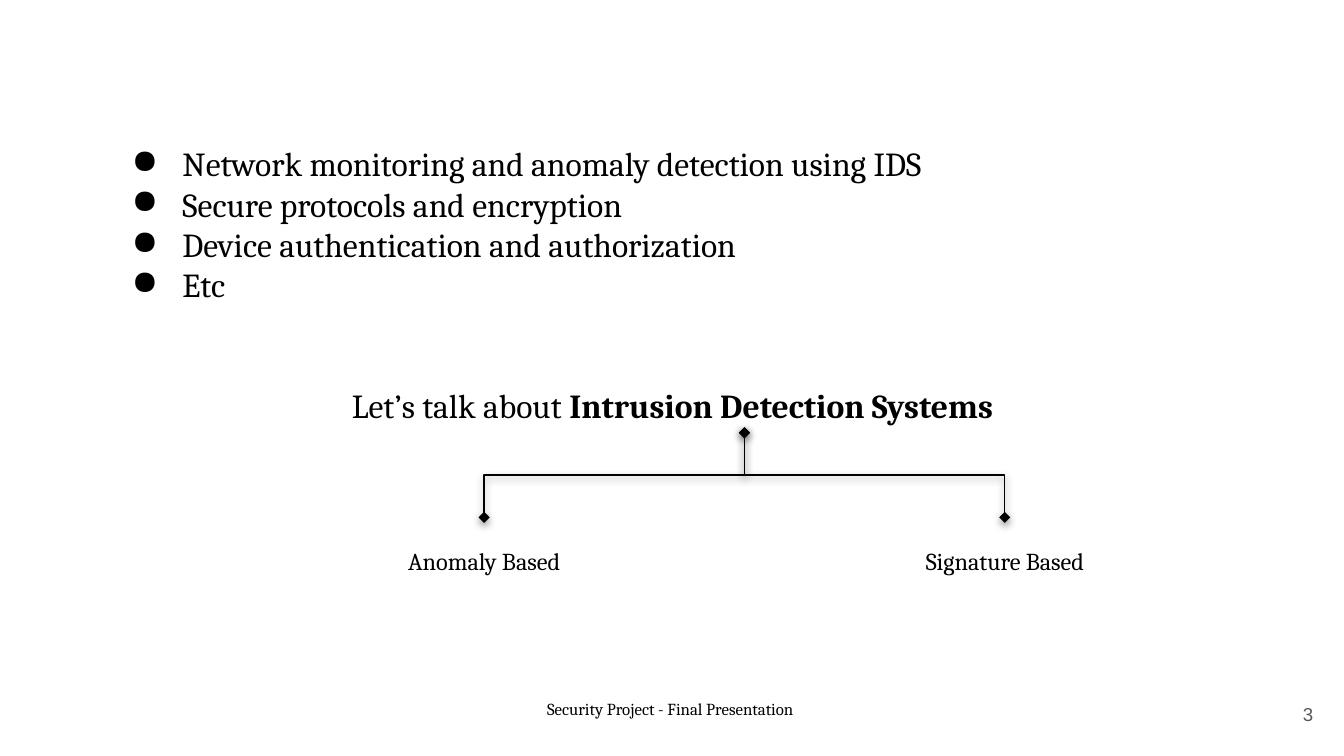
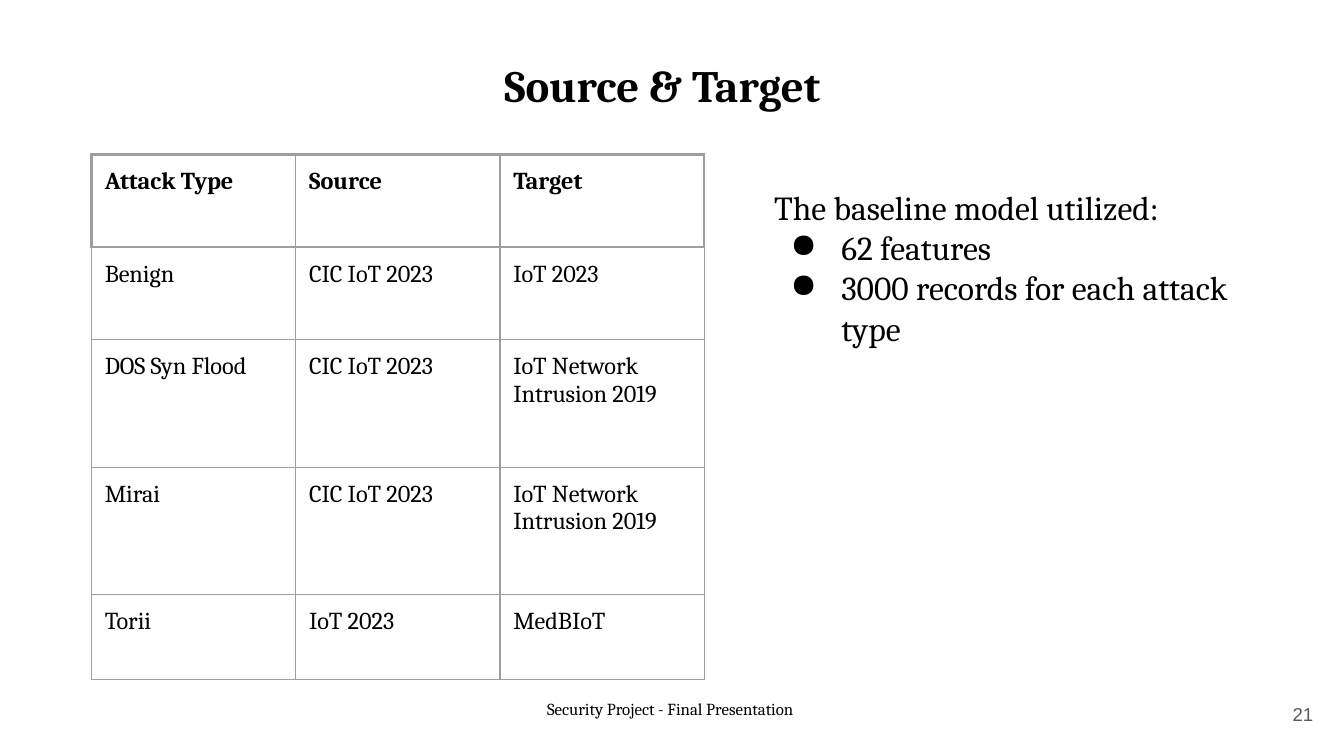
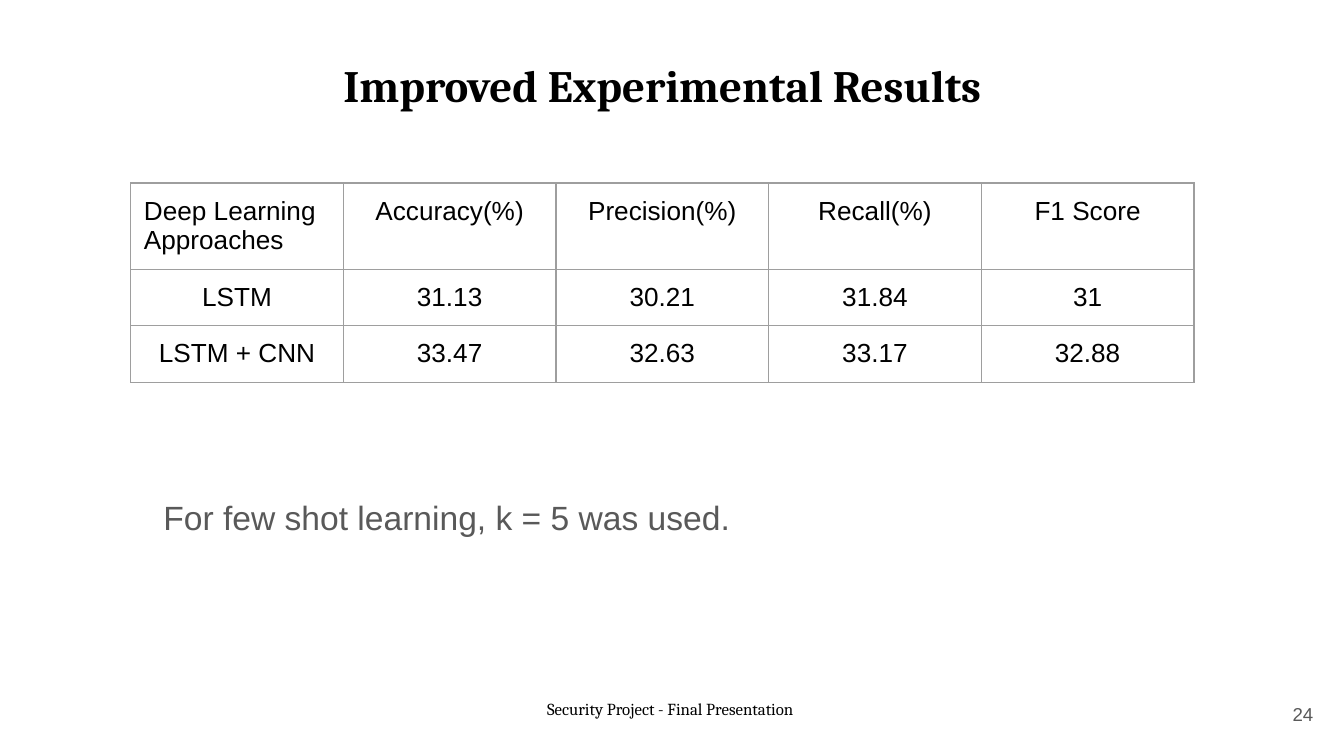
from dataclasses import dataclass

from lxml.etree import SubElement
from pptx import Presentation
from pptx.dml.color import RGBColor
from pptx.enum.shapes import MSO_CONNECTOR
from pptx.enum.text import MSO_ANCHOR as Anchor, MSO_AUTO_SIZE, PP_ALIGN as Align
from pptx.oxml.ns import qn
from pptx.slide import Slide
from pptx.util import Cm, Pt

COLORS = {"text": "000000", "muted": "595959", "border": "9E9E9E"}
SERIF, SANS = "Cambria", "Arial"
INSET = Cm(0.25)
TITLE_ONLY, BLANK = 5, 6
THIN, THICK = 0.75, 1.5


@dataclass(frozen=True)
class Style:
    size: float
    face: str = SERIF
    color: str = "text"
    bold: bool = False


@dataclass(frozen=True)
class Line:
    text: str
    strong: str = ""
    bullet: bool = False
    align: Align = Align.LEFT
    space_before: float = 0


@dataclass(frozen=True)
class Box:
    left: float
    top: float
    width: float
    height: float

    def lengths(self) -> tuple[Cm, Cm, Cm, Cm]:
        return Cm(self.left), Cm(self.top), Cm(self.width), Cm(self.height)


@dataclass(frozen=True)
class Grid:
    left: float
    top: float
    column_width: float
    row_heights: list[float]
    rows: list[list[str]]
    style: Style
    strong_header: bool = False
    centered: bool = False


TITLE = Style(24, bold=True)
BODY = Style(18)
LABEL = Style(13)
FOOTER = Style(9)
NUMBER = Style(10, SANS, "muted")
NOTE = Style(18, SANS, "muted")


def add_color(parent, color: str):
    fill = SubElement(parent, qn("a:solidFill"))
    return SubElement(fill, qn("a:srgbClr"), val=COLORS[color])


def set_font(paragraph, style: Style) -> None:
    font = paragraph.font
    font.size, font.name, font.bold = Pt(style.size), style.face, style.bold
    font.color.rgb = RGBColor.from_string(COLORS[style.color])


def add_bullet(paragraph) -> None:
    properties = paragraph._p.get_or_add_pPr()
    properties.set("marL", str(Cm(1.27)))
    properties.set("indent", str(-Cm(0.96)))
    color = SubElement(properties, qn("a:buClr"))
    SubElement(color, qn("a:srgbClr"), val=COLORS["text"])
    SubElement(properties, qn("a:buChar"), char="●")


def write(frame, lines: list[Line], style: Style, anchor: Anchor = Anchor.TOP) -> None:
    frame.word_wrap = True
    frame.auto_size = MSO_AUTO_SIZE.NONE
    frame.vertical_anchor = anchor
    frame.margin_left = frame.margin_right = INSET
    frame.margin_top = frame.margin_bottom = INSET
    for index, line in enumerate(lines):
        paragraph = frame.add_paragraph() if index else frame.paragraphs[0]
        paragraph.alignment = line.align
        if line.bullet:
            add_bullet(paragraph)
        if line.space_before:
            paragraph.space_before = Pt(line.space_before)
        paragraph.add_run().text = line.text
        if line.strong:
            strong = paragraph.add_run()
            strong.text = line.strong
            strong.font.bold = True
        set_font(paragraph, style)


def add_text(slide: Slide, box: Box, lines: list[Line], style: Style,
             anchor: Anchor = Anchor.TOP) -> None:
    write(slide.shapes.add_textbox(*box.lengths()).text_frame, lines, style, anchor)


def add_slide(deck, number: int, title: str = "", title_height: float = 0) -> Slide:
    slide = deck.slides.add_slide(deck.slide_layouts[TITLE_ONLY if title else BLANK])
    if title:
        heading = slide.shapes.title
        heading.left, heading.top, heading.width, heading.height = Box(
            2.24, 0.84, 20.55, title_height).lengths()
        write(heading.text_frame, [Line(title, align=Align.CENTER)], TITLE)
    add_text(slide, Box(23.55, 12.95, 1.52, 1.09),
             [Line(str(number), align=Align.RIGHT)], NUMBER, Anchor.MIDDLE)
    add_text(slide, Box(0, 12.95, 25.4, 1.09),
             [Line("Security Project - Final Presentation ", align=Align.CENTER)], FOOTER)
    return slide


def add_branch(slide: Slide, start: tuple[float, float], end: tuple[float, float]) -> None:
    center_x, center_y = (start[0] + end[0]) / 2, (start[1] + end[1]) / 2
    half_x, half_y = (end[0] - start[0]) / 2, (end[1] - start[1]) / 2
    branch = slide.shapes.add_connector(
        MSO_CONNECTOR.ELBOW,
        Cm(center_x + half_y), Cm(center_y - half_x),
        Cm(center_x - half_y), Cm(center_y + half_x))
    properties = branch._element.spPr
    properties.find(qn("a:xfrm")).set("rot", str(270 * 60000))
    branch.line.width = Pt(THIN)
    branch.line.color.rgb = RGBColor.from_string(COLORS["text"])
    outline = properties.find(qn("a:ln"))
    for tip in ("a:headEnd", "a:tailEnd"):
        SubElement(outline, qn(tip), type="diamond")
    effects = SubElement(properties, qn("a:effectLst"))
    shadow = SubElement(effects, qn("a:outerShdw"), blurRad=str(Pt(4.5)),
                        dist=str(Pt(1.5)), dir=str(90 * 60000), rotWithShape="0")
    tint = SubElement(shadow, qn("a:srgbClr"), val=COLORS["text"])
    SubElement(tint, qn("a:alpha"), val="50000")


def set_borders(cell, widths: dict[str, float]) -> None:
    properties = cell._tc.get_or_add_tcPr()
    for index, side in enumerate("LRTB"):
        border = SubElement(properties, qn(f"a:ln{side}"),
                            w=str(Pt(widths.get(side, THIN))))
        add_color(border, "border")
        properties.insert(index, border)


def header_borders(row: int, column: int, last_column: int) -> dict[str, float]:
    if row > 1:
        return {}
    if row == 1:
        return {"T": THICK}
    widths = {"T": THICK, "B": THICK}
    if column == 0:
        widths["L"] = THICK
    if column == last_column:
        widths["R"] = THICK
    return widths


def add_grid(slide: Slide, grid: Grid) -> None:
    columns = len(grid.rows[0])
    box = Box(grid.left, grid.top, grid.column_width * columns, sum(grid.row_heights))
    table = slide.shapes.add_table(len(grid.rows), columns, *box.lengths()).table
    table.first_row = table.horz_banding = False
    for column in table.columns:
        column.width = Cm(grid.column_width)
    for r, (texts, height) in enumerate(zip(grid.rows, grid.row_heights)):
        table.rows[r].height = Cm(height)
        for c, text in enumerate(texts):
            cell = table.cell(r, c)
            cell.margin_left = cell.margin_right = INSET
            cell.margin_top = cell.margin_bottom = INSET
            cell.fill.background()
            strong = grid.strong_header
            set_borders(cell, header_borders(r, c, columns - 1) if strong else {})
            paragraph = cell.text_frame.paragraphs[0]
            paragraph.add_run().text = text
            centered = grid.centered and (r, c) != (0, 0)
            paragraph.alignment = Align.CENTER if centered else Align.LEFT
            style = grid.style
            set_font(paragraph, Style(style.size, style.face, style.color,
                                      strong and r == 0))


def add_detection_slide(deck) -> None:
    slide = add_slide(deck, 3)
    measures = ["Network monitoring and anomaly detection using IDS",
                "Secure protocols and encryption",
                "Device authentication and authorization",
                "Etc"]
    topic = Line("Let’s talk about ", "Intrusion Detection Systems",
                 align=Align.CENTER, space_before=43)
    add_text(slide, Box(1.93, 2.46, 21.56, 5.69),
             [Line(measure, bullet=True) for measure in measures] + [topic], BODY)
    root_x, root_y, spread, leaf_y, label_width = 14.07, 8.18, 4.92, 9.78, 4.27
    anomaly_x, signature_x = root_x - spread, root_x + spread
    add_branch(slide, (root_x, root_y), (signature_x, leaf_y))
    add_branch(slide, (anomaly_x, leaf_y), (root_x, root_y))
    for x, kind in ((anomaly_x, "Anomaly Based"), (signature_x, "Signature Based")):
        add_text(slide, Box(x - label_width / 2, leaf_y, label_width, 1.63),
                 [Line(kind, align=Align.CENTER)], LABEL, Anchor.MIDDLE)


def add_source_slide(deck) -> None:
    slide = add_slide(deck, 21, "Source & Target", 1.98)
    add_grid(slide, Grid(1.73, 2.92, 3.86, [1.75, 1.75, 2.41, 2.41, 1.6], [
        ["Attack Type", "Source", "Target"],
        ["Benign", "CIC IoT 2023", "IoT 2023"],
        ["DOS Syn Flood", "CIC IoT 2023", "IoT Network Intrusion 2019"],
        ["Mirai", "CIC IoT 2023", "IoT Network Intrusion 2019"],
        ["Torii", "IoT 2023", "MedBIoT"],
    ], LABEL, strong_header=True))
    add_text(slide, Box(14.38, 3.28, 9.58, 8.46), [
        Line("The baseline model utilized:"),
        Line("62 features", bullet=True),
        Line("3000 records for each attack type", bullet=True),
    ], BODY)


def add_results_slide(deck) -> None:
    slide = add_slide(deck, 24, "Improved Experimental Results", 2.31)
    add_grid(slide, Grid(2.47, 3.46, 4.02, [1.63, 1.07, 1.07], [
        ["Deep Learning Approaches", "Accuracy(%)", "Precision(%)", "Recall(%)", "F1 Score"],
        ["LSTM", "31.13", "30.21", "31.84", "31"],
        ["LSTM + CNN", "33.47", "32.63", "33.17", "32.88"],
    ], Style(14, SANS), centered=True))
    add_text(slide, Box(2.84, 9.14, 13.97, 1.27),
             [Line("For few shot learning, k = 5 was used.")], NOTE)


def main() -> None:
    deck = Presentation()
    deck.slide_width, deck.slide_height = Cm(25.4), Cm(14.29)
    add_detection_slide(deck)
    add_source_slide(deck)
    add_results_slide(deck)
    deck.save("out.pptx")


if __name__ == "__main__":
    main()
